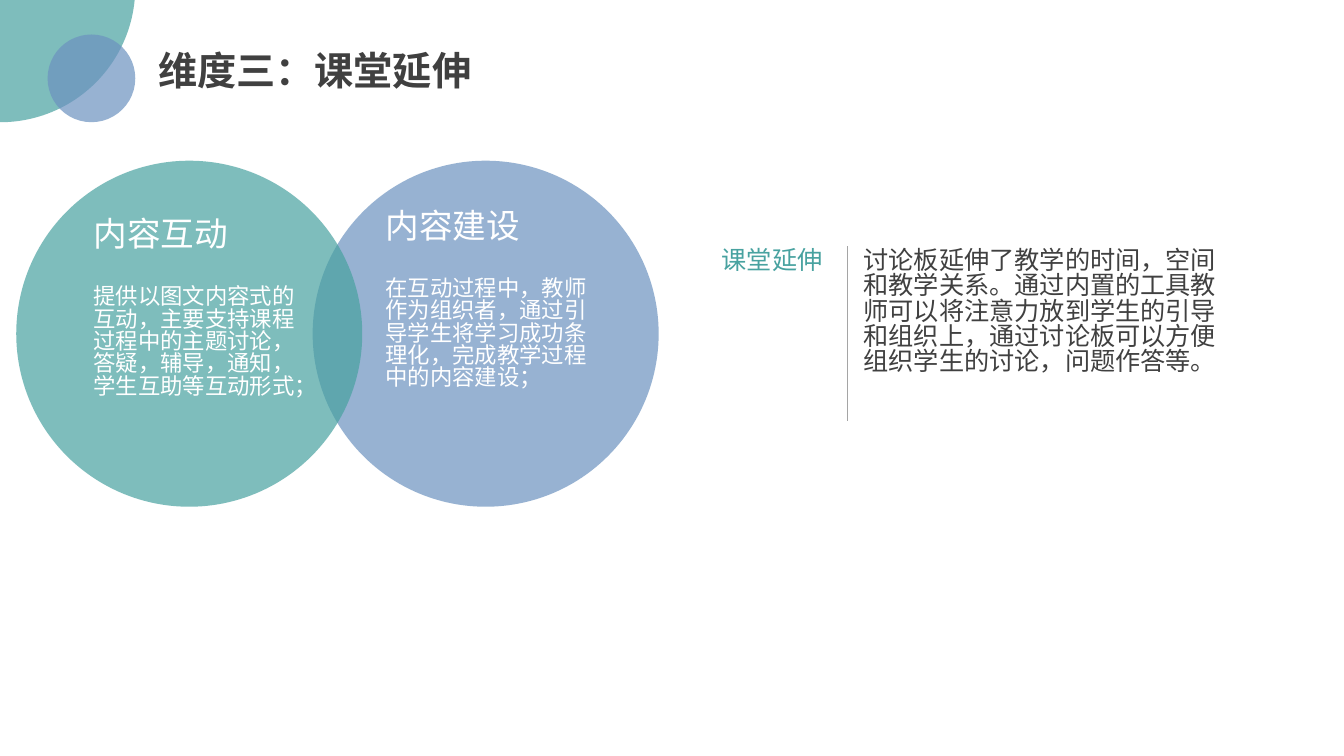
from dataclasses import dataclass

from lxml.etree import SubElement
from pptx import Presentation
from pptx.dml.color import RGBColor
from pptx.enum.shapes import MSO_CONNECTOR as Connector, MSO_SHAPE as Shape
from pptx.enum.text import MSO_ANCHOR as Anchor, MSO_AUTO_SIZE as AutoSize, PP_ALIGN as Align
from pptx.oxml.ns import qn
from pptx.util import Cm, Pt


@dataclass(frozen=True)
class Theme:
    font: str = "Noto Sans CJK SC"
    teal: str = "48A2A0"
    blue: str = "6C92C0"
    dark: str = "404040"
    white: str = "FFFFFF"
    rule: str = "A5A5A5"
    title_size: int = 28
    heading_size: int = 24
    summary_size: int = 18
    body_size: int = 16
    line_spacing: float = 0.83
    circle_opacity: int = 70


THEME = Theme()


def write_text(shape, text, size, color, align=Align.LEFT, bold=False, wrap=True):
    """Fill a title or text box with one uniformly formatted paragraph."""
    frame = shape.text_frame
    frame.text = text
    frame.word_wrap = wrap
    frame.auto_size = AutoSize.NONE
    frame.vertical_anchor = Anchor.TOP
    paragraph = frame.paragraphs[0]
    paragraph.alignment = align
    paragraph.line_spacing = THEME.line_spacing
    font = paragraph.font
    font.size = Pt(size)
    font.bold = bold
    font.color.rgb = RGBColor.from_string(color)
    font.name = THEME.font
    # East Asian characters take their own typeface setting
    properties = paragraph._p.pPr.find(qn("a:defRPr"))
    SubElement(properties, qn("a:ea"), typeface=THEME.font)


def add_text(slide, left, top, width, height, *content, **style):
    box = slide.shapes.add_textbox(Cm(left), Cm(top), Cm(width), Cm(height))
    write_text(box, *content, **style)


def add_circle(slide, left, top, diameter, color):
    circle = slide.shapes.add_shape(
        Shape.OVAL, Cm(left), Cm(top), Cm(diameter), Cm(diameter))
    circle.shadow.inherit = False
    circle.line.fill.background()
    circle.fill.solid()
    circle.fill.fore_color.rgb = RGBColor.from_string(color)
    color_element = circle._element.spPr.find(qn("a:solidFill"))[0]
    SubElement(color_element, qn("a:alpha"), val=str(THEME.circle_opacity * 1000))


def add_vertical_rule(slide, x, top, bottom):
    rule = slide.shapes.add_connector(
        Connector.STRAIGHT, Cm(x), Cm(top), Cm(x), Cm(bottom))
    rule.line.color.rgb = RGBColor.from_string(THEME.rule)
    rule.line.width = Pt(0.5)
    SubElement(rule._element.spPr, qn("a:effectLst"))


def add_title(slide, text):
    title = slide.shapes.title
    title.left, title.top, title.width, title.height = Cm(3.73), Cm(1.24), Cm(8.48), Cm(1.45)
    write_text(title, text, THEME.title_size, THEME.dark, bold=True, wrap=False)


def add_topic(slide, left, top, heading, body):
    """Place a heading with its explanation below."""
    add_text(slide, left, top, 3.94, 1.27, heading,
             THEME.heading_size, THEME.white, wrap=False)
    add_text(slide, left, top + 1.7, 5.82, 3.68, body, THEME.body_size, THEME.white)


def main():
    presentation = Presentation()
    presentation.slide_width, presentation.slide_height = Cm(33.87), Cm(19.05)
    slide = presentation.slides.add_slide(presentation.slide_layouts[5])

    # Overlapping topic circles
    add_circle(slide, 7.88, 4.05, 8.72, THEME.blue)
    add_circle(slide, 0.41, 4.05, 8.72, THEME.teal)
    add_topic(slide, 2.11, 5.41, "内容互动",
              "提供以图文内容式的互动，主要支持课程过程中的主题讨论，答疑，辅导，通知，学生互助等互动形式；")
    add_topic(slide, 9.47, 5.2, "内容建设",
              "在互动过程中，教师作为组织者，通过引导学生将学习成功条理化，完成教学过程中的内容建设；")

    # Title with corner circles
    add_circle(slide, -3.4, -3.73, 6.81, THEME.teal)
    add_circle(slide, 1.2, 0.87, 2.21, THEME.blue)
    add_title(slide, "维度三：课堂延伸")

    # Summary beside a dividing rule
    add_vertical_rule(slide, 21.36, 6.2, 10.62)
    add_text(slide, 15.85, 6.17, 5.13, 1.02, "课堂延伸",
             THEME.summary_size, THEME.teal, align=Align.RIGHT)
    add_text(slide, 21.51, 6.17, 9.88, 4.11,
             "讨论板延伸了教学的时间，空间和教学关系。通过内置的工具教师可以将注意力放到学生的引导和组织上，"
             "通过讨论板可以方便组织学生的讨论，问题作答等。",
             THEME.summary_size, THEME.dark)

    presentation.save("out.pptx")


if __name__ == "__main__":
    main()
